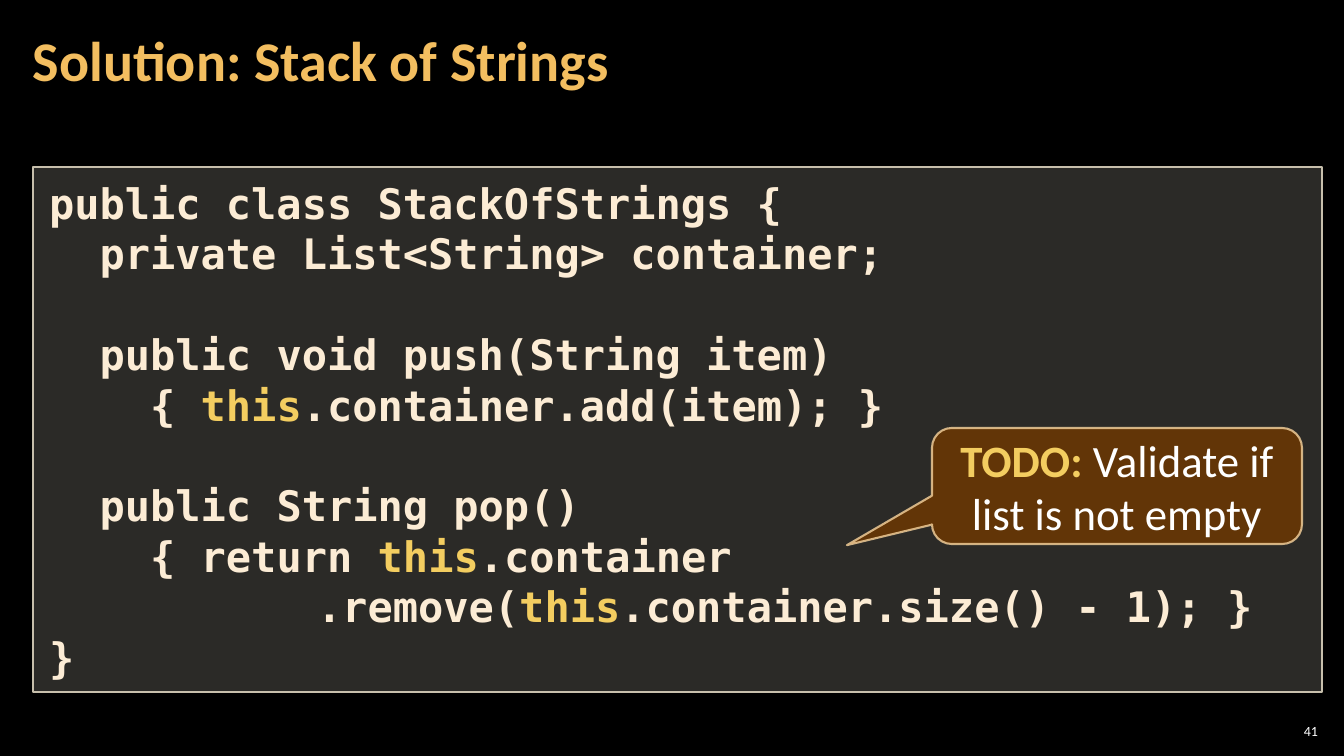
from dataclasses import dataclass

from lxml import etree
from pptx import Presentation
from pptx import util as u
from pptx.dml import color
from pptx.enum import shapes, text
from pptx.oxml import ns

PX = 914400 / 100.8  # EMU in one px
CODE_STEP = 25.28    # px taken by one code character


def px(length):
    return u.Emu(round(length * PX))


@dataclass(frozen=True)
class Theme:
    background: str = "000000"
    heading: str = "F3BE60"
    code: str = "FCECD5"
    keyword: str = "F3CD60"
    plain: str = "FFFFFF"
    panel: str = "D9D5C7"
    panel_edge: str = "C7BFAC"
    callout: str = "663606"
    callout_edge: str = "F8D49E"
    body_font: str = "Calibri"
    code_font: str = "DejaVu Sans Mono"
    heading_size: int = 40
    code_size: int = 30
    code_pitch: int = 36
    callout_size: int = 32
    number_size: int = 10


def write(paragraph, words, *, font, size, rgb, bold=False):
    run = paragraph.add_run()
    run.text = words
    run.font.name = font
    run.font.size = u.Pt(size)
    run.font.bold = bold
    run.font.color.rgb = color.RGBColor.from_string(rgb)


def paint(fill, rgb, opacity=100):
    fill.solid()
    fill.fore_color.rgb = color.RGBColor.from_string(rgb)
    if opacity < 100:
        srgb = fill._xPr.find(".//" + ns.qn("a:srgbClr"))
        etree.SubElement(srgb, ns.qn("a:alpha"), val=str(opacity * 1000))


class SlideBuilder:
    def __init__(self, slide, theme):
        self.slide = slide
        self.theme = theme
        paint(slide.background.fill, theme.background)

    def frame(self, holder, inset_x, inset_y):
        frame = holder.text_frame
        frame.word_wrap = True
        frame.auto_size = text.MSO_AUTO_SIZE.NONE
        frame.vertical_anchor = text.MSO_ANCHOR.MIDDLE
        frame.margin_left = frame.margin_right = px(inset_x)
        frame.margin_top = frame.margin_bottom = px(inset_y)
        return frame

    def box(self, kind, place, rgb, opacity, edge, edge_width, edge_opacity=100):
        box = self.slide.shapes.add_shape(kind, *map(px, place))
        box.shadow.inherit = False
        paint(box.fill, rgb, opacity)
        paint(box.line.fill, edge, edge_opacity)
        box.line.width = u.Pt(edge_width)
        return box

    def title(self, words, place):
        t = self.theme
        title = self.slide.shapes.title
        title.left, title.top, title.width, title.height = map(px, place)
        heading = self.frame(title, 12, 4).paragraphs[0]
        heading.alignment = text.PP_ALIGN.LEFT
        heading.line_spacing = u.Pt(t.heading_size)
        write(heading, words, font=t.body_font, size=t.heading_size,
              rgb=t.heading, bold=True)

    def page_number(self, number, place):
        t = self.theme
        label = self.slide.shapes.add_textbox(*map(px, place))
        line = self.frame(label, 4, 4).paragraphs[0]
        line.alignment = text.PP_ALIGN.RIGHT
        write(line, number, font=t.body_font, size=t.number_size, rgb=t.plain)

    def code_panel(self, lines, place):
        """Each line is (indent in characters, blank lines above, code)."""
        t = self.theme
        panel = self.box(shapes.MSO_SHAPE.RECTANGLE, place, t.panel, 20,
                         t.panel_edge, 1)
        frame = self.frame(panel, 16, 8)
        for i, (indent, gap, code) in enumerate(lines):
            line = frame.add_paragraph() if i else frame.paragraphs[0]
            line.alignment = text.PP_ALIGN.LEFT
            line.line_spacing = u.Pt(t.code_pitch)
            line.space_before = u.Pt(gap * t.code_pitch)
            properties = line._p.get_or_add_pPr()
            properties.set("marL", str(px(indent * CODE_STEP)))
            properties.set("indent", "0")
            before, keyword, after = code.partition("this")
            for words, rgb in ((before, t.code), (keyword, t.keyword), (after, t.code)):
                if words:
                    write(line, words, font=t.code_font, size=t.code_size,
                          rgb=rgb, bold=True)

    def callout(self, lead, words, place, adjustments):
        t = self.theme
        callout = self.box(shapes.MSO_SHAPE.ROUNDED_RECTANGULAR_CALLOUT, place,
                           t.callout, 95, t.callout_edge, 1.5, 80)
        for i, value in enumerate(adjustments):
            callout.adjustments[i] = value
        note = self.frame(callout, 10, 5).paragraphs[0]
        note.alignment = text.PP_ALIGN.CENTER
        write(note, lead, font=t.body_font, size=t.callout_size,
              rgb=t.keyword, bold=True)
        write(note, words, font=t.body_font, size=t.callout_size, rgb=t.plain)


def main():
    deck = Presentation()
    deck.slide_width, deck.slide_height = px(1344), px(756)
    page = SlideBuilder(deck.slides.add_slide(deck.slide_layouts[5]), Theme())

    # Heading and page number
    page.title("Solution: Stack of Strings", (21, 4, 1055, 122))
    page.page_number("41", (1275, 720, 47, 21))

    # Stack class
    page.code_panel([
        (0, 0, "public class StackOfStrings {"),
        (2, 0, "private List<String> container;"),
        (2, 1, "public void push(String item)"),
        (4, 0, "{ this.container.add(item); }"),
        (2, 1, "public String pop()"),
        (4, 0, "{ return this.container"),
        (10.6, 0, ".remove(this.container.size() - 1); }"),
        (0, 0, "}"),
    ], (33, 167, 1289, 525))

    # Reminder pointing at pop()
    page.callout("TODO: ", "Validate if list is not empty",
                 (932, 428, 370, 116), (-0.73, 0.51, 0.17))

    deck.save("out.pptx")


if __name__ == "__main__":
    main()
